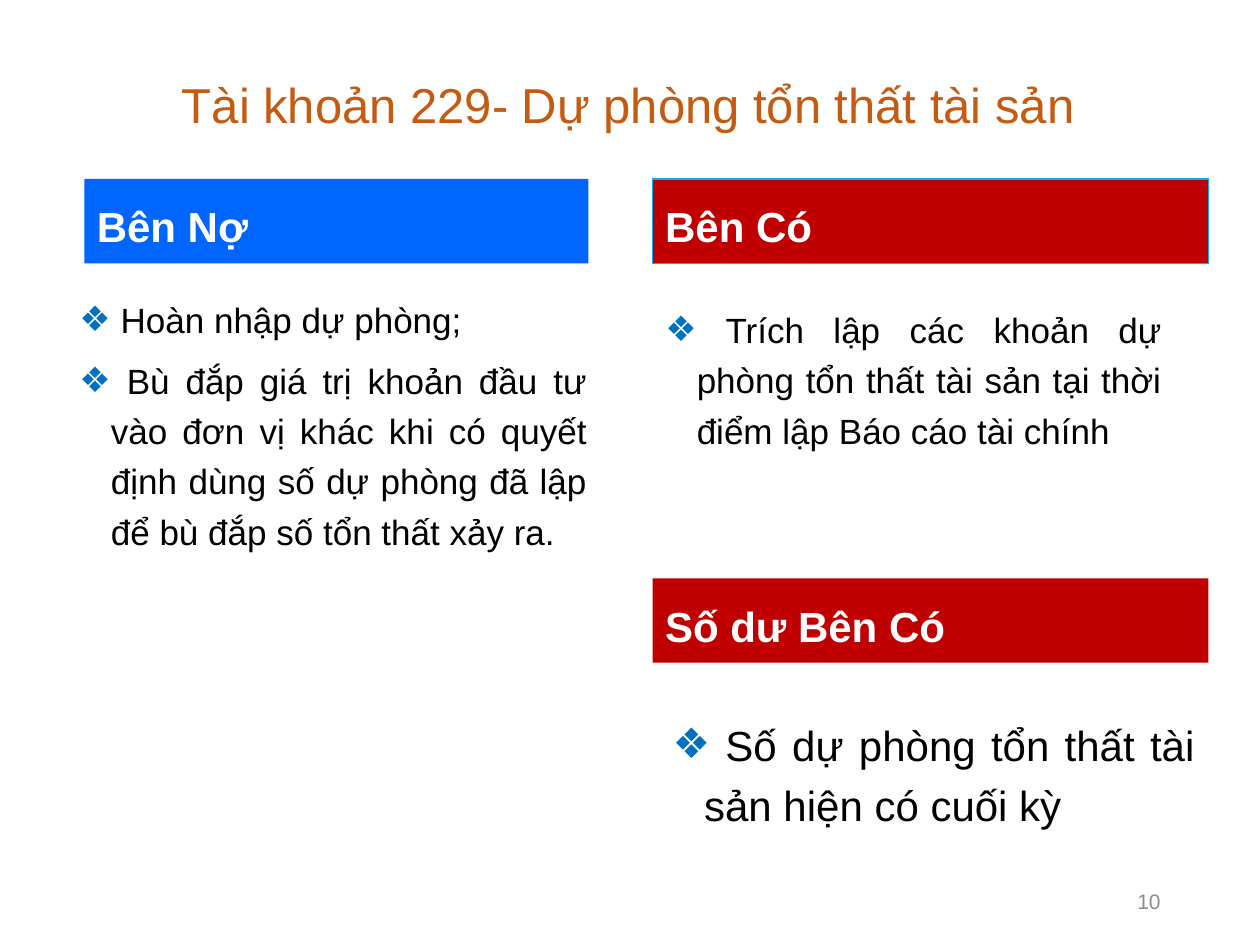
from lxml import etree
from pptx import Presentation
from pptx.dml.color import RGBColor
from pptx.enum.shapes import MSO_SHAPE
from pptx.enum.text import MSO_ANCHOR, MSO_AUTO_SIZE, PP_ALIGN
from pptx.oxml.ns import qn
from pptx.util import Inches, Pt

RECTANGLE = MSO_SHAPE.RECTANGLE
TOP, MIDDLE = MSO_ANCHOR.TOP, MSO_ANCHOR.MIDDLE
NO_AUTOFIT = MSO_AUTO_SIZE.NONE
LEFT, CENTER, RIGHT, JUSTIFY = (
    PP_ALIGN.LEFT, PP_ALIGN.CENTER, PP_ALIGN.RIGHT, PP_ALIGN.JUSTIFY)

BLACK = RGBColor(0x00, 0x00, 0x00)
WHITE = RGBColor(0xFF, 0xFF, 0xFF)
ORANGE = RGBColor(0xC5, 0x5A, 0x11)
DEBIT_BLUE = RGBColor(0x00, 0x66, 0xFF)
CREDIT_RED = RGBColor(0xC0, 0x00, 0x00)
BORDER_BLUE = RGBColor(0x00, 0xB0, 0xF0)
BULLET_BLUE = RGBColor(0x00, 0x70, 0xC0)
GREY = RGBColor(0x8C, 0x8C, 0x8C)

FONT = "Arial"
CREDIT_LEFT, CREDIT_WIDTH = 5.18, 4.41
HEADER_TOP, HEADER_HEIGHT = 1.42, 0.67


def set_attributes(target, values):
    for name, value in values.items():
        setattr(target, name, value)


def place(shape, left, top, width, height):
    box = {"left": left, "top": top, "width": width, "height": height}
    set_attributes(shape, {side: Inches(size) for side, size in box.items()})


def set_indent(paragraph, size):
    properties = paragraph._p.get_or_add_pPr()
    properties.set("marL", str(Inches(size)))
    properties.set("indent", str(-Inches(size)))
    return properties


def add_bullet(paragraph):
    properties = set_indent(paragraph, 0.25)
    color = etree.SubElement(properties, qn("a:buClr"))
    etree.SubElement(color, qn("a:srgbClr"), val=str(BULLET_BLUE))
    etree.SubElement(properties, qn("a:buFont"), typeface=FONT)
    etree.SubElement(properties, qn("a:buChar"), char="❖")


def write_paragraph(paragraph, text, size, color, align, spacing=1.2,
                    before=0, bold=False):
    set_attributes(paragraph, {"alignment": align, "line_spacing": spacing,
                               "space_before": Pt(before)})
    run = paragraph.add_run()
    run.text = text
    set_attributes(run.font, {"name": FONT, "size": Pt(size), "bold": bold})
    run.font.color.rgb = color


def prepare_frame(shape, anchor):
    frame = shape.text_frame
    set_attributes(frame, {"word_wrap": True, "auto_size": NO_AUTOFIT,
                           "vertical_anchor": anchor})
    return frame


def fill_title(title, text):
    place(title, 0.38, 0.23, 9.21, 1.09)
    frame = prepare_frame(title, MIDDLE)
    write_paragraph(frame.paragraphs[0], text, 28, ORANGE, CENTER)


def add_header(slide, text, left, top, width, fill, border=None):
    header = slide.shapes.add_shape(RECTANGLE, 0, 0, 0, 0)
    place(header, left, top, width, HEADER_HEIGHT)
    header.shadow.inherit = False
    header.fill.solid()
    header.fill.fore_color.rgb = fill
    if border:
        header.line.color.rgb = border
        header.line.width = Pt(0.75)
    else:
        header.line.fill.background()
    paragraph = prepare_frame(header, MIDDLE).paragraphs[0]
    set_indent(paragraph, 0.35)
    write_paragraph(paragraph, text, 24, WHITE, LEFT, bold=True)


def fill_list(holder, box, items, size=20):
    place(holder, *box)
    frame = prepare_frame(holder, TOP)
    for index, item in enumerate(items):
        paragraph = frame.add_paragraph() if index else frame.paragraphs[0]
        add_bullet(paragraph)
        write_paragraph(paragraph, item, size, BLACK, JUSTIFY,
                        before=6 if index else 0)


def add_text_box(slide):
    return slide.shapes.add_textbox(0, 0, 0, 0)


def add_page_number(slide, number):
    page = add_text_box(slide)
    place(page, 7.06, 6.95, 2.25, 0.4)
    paragraph = prepare_frame(page, MIDDLE).paragraphs[0]
    write_paragraph(paragraph, number, 12, GREY, RIGHT, spacing=1.0)


def main():
    deck = Presentation()
    deck.slide_width, deck.slide_height = Inches(10), Inches(7.5)
    slide = deck.slides.add_slide(deck.slide_layouts.get_by_name("Two Content"))
    title, debit_list, credit_list = slide.placeholders

    fill_title(title, "Tài khoản 229- Dự phòng tổn thất tài sản")

    # Debit side
    add_header(slide, "Bên Nợ", 0.67, HEADER_TOP, 4, DEBIT_BLUE)
    fill_list(debit_list, (0.53, 2.25, 4.23, 1.43), [
        " Hoàn nhập dự phòng;",
        " Bù đắp giá trị khoản đầu tư vào đơn vị khác khi có quyết định "
        "dùng số dự phòng đã lập để bù đắp số tổn thất xảy ra.",
    ])

    # Credit side
    add_header(slide, "Bên Có", CREDIT_LEFT, HEADER_TOP, CREDIT_WIDTH,
               CREDIT_RED, BORDER_BLUE)
    fill_list(credit_list, (CREDIT_LEFT, 2.33, 4.14, 1.43), [
        " Trích lập các khoản dự phòng tổn thất tài sản tại thời điểm "
        "lập Báo cáo tài chính",
    ])

    # Credit balance
    add_header(slide, "Số dư Bên Có", CREDIT_LEFT, 4.59, CREDIT_WIDTH,
               CREDIT_RED)
    fill_list(add_text_box(slide), (5.24, 5.58, 4.34, 1.23),
              [" Số dự phòng tổn thất tài sản hiện có cuối kỳ"], size=24)

    add_page_number(slide, "10")
    deck.save("out.pptx")


if __name__ == "__main__":
    main()
